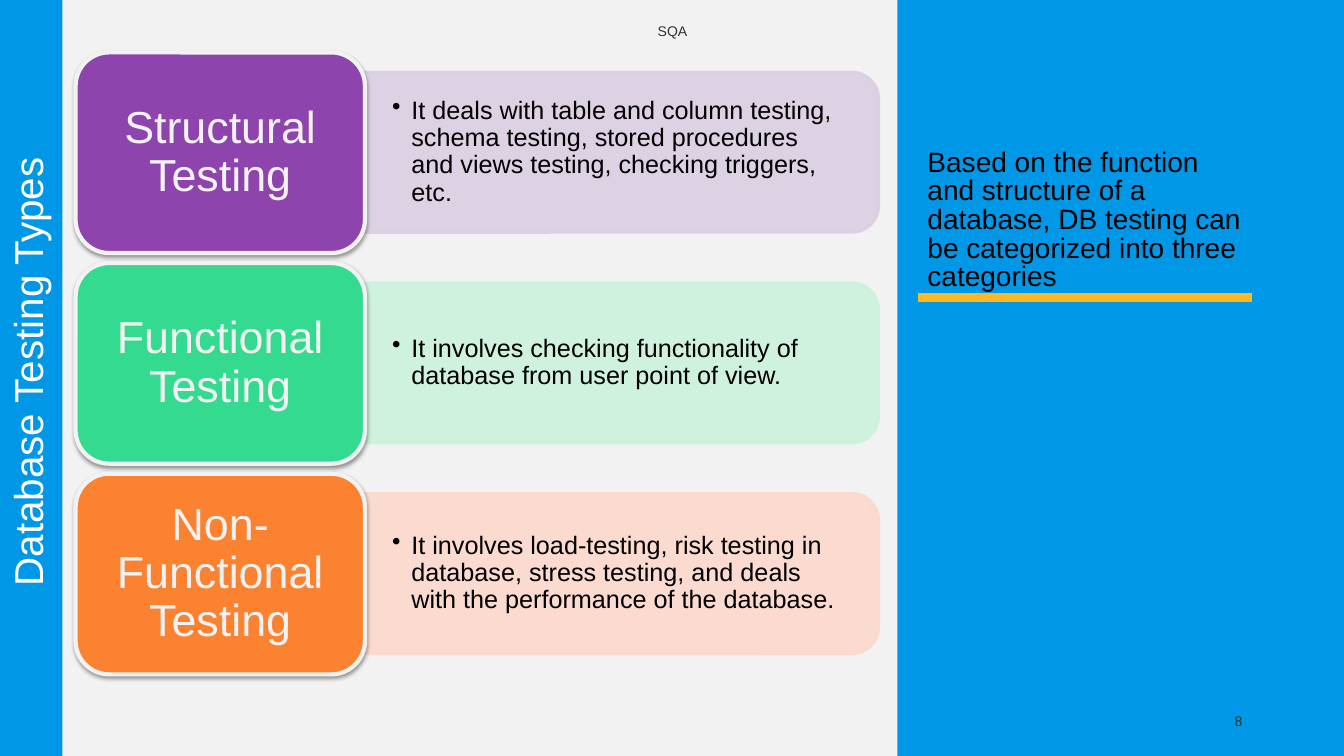
"""Build the slide on database testing types."""
from lxml import etree
from pptx import Presentation
from pptx.dml.color import RGBColor
from pptx.enum.shapes import MSO_CONNECTOR, MSO_SHAPE
from pptx.enum.text import MSO_ANCHOR, MSO_AUTO_SIZE, PP_ALIGN
from pptx.oxml.ns import qn
from pptx.util import Inches, Pt

RECT, ROUNDED = MSO_SHAPE.RECTANGLE, MSO_SHAPE.ROUNDED_RECTANGLE
ROUND_TOP = MSO_SHAPE.ROUND_2_SAME_RECTANGLE
STRAIGHT = MSO_CONNECTOR.STRAIGHT
LEFT, CENTER, RIGHT = PP_ALIGN.LEFT, PP_ALIGN.CENTER, PP_ALIGN.RIGHT
MIDDLE, BOTTOM = MSO_ANCHOR.MIDDLE, MSO_ANCHOR.BOTTOM
NO_FIT = MSO_AUTO_SIZE.NONE

BLUE, PALE, BLACK, GREY = "0097E6", "F2F2F2", "000000", "333333"
PITCH = 2.09
TESTING_TYPES = [
    ("Structural Testing", "8E44AD", "DBCFE3",
     "It deals with table and column testing, schema testing, stored procedures "
     "and views testing, checking triggers, etc."),
    ("Functional Testing", "34DA90", "CCF2DC",
     "It involves checking functionality of database from user point of view."),
    ("Non-Functional Testing", "FA8231", "FDD8CD",
     "It involves load-testing, risk testing in database, stress testing, "
     "and deals with the performance of the database."),
]


def rgb(value):
    return RGBColor.from_string(value)


def write(shape, text, size, color, align, anchor=MIDDLE, spacing=1.0, inset=(0.1, 0.05)):
    frame = shape.text_frame
    frame.text = text
    frame.word_wrap = True
    frame.auto_size = NO_FIT
    frame.vertical_anchor = anchor
    frame.margin_left = frame.margin_right = Inches(inset[0])
    frame.margin_top = frame.margin_bottom = Inches(inset[1])
    paragraph = frame.paragraphs[0]
    paragraph.alignment = align
    paragraph.line_spacing = spacing
    paragraph.font.name = "Arial"
    paragraph.font.size = Pt(size)
    paragraph.font.color.rgb = rgb(color)
    return paragraph


prs = Presentation()
prs.slide_width, prs.slide_height = Inches(13.33), Inches(7.5)
slide = prs.slides.add_slide(prs.slide_layouts[5])
shapes = slide.shapes
slide.background.fill.solid()
slide.background.fill.fore_color.rgb = rgb(PALE)

title = shapes.title
title.left, title.top = Inches(-3.06), Inches(3.44)
title.width, title.height = Inches(6.74), Inches(0.5)
title.rotation = 270
write(title, "Database Testing Types", 28.8, "FFFFFF", CENTER, BOTTOM, 0.85)

for left, width in [(8.9, 4.43), (0, 0.62)]:
    band = shapes.add_shape(RECT, Inches(left), 0, Inches(width), prs.slide_height)
    band.shadow.inherit = False
    band.fill.solid()
    band.fill.fore_color.rgb = rgb(BLUE)
    band.line.fill.background()
    shapes._spTree.remove(band._element)
    shapes._spTree.insert(2, band._element)

rule = shapes.add_connector(STRAIGHT, Inches(9.1), Inches(2.95), Inches(12.42), Inches(2.95))
rule.line.color.rgb = rgb("FDB823")
rule.line.width = Pt(6)
etree.SubElement(rule._element.spPr, qn("a:effectLst"))

header = shapes.add_textbox(Inches(4.42), Inches(0.11), Inches(4.5), Inches(0.4))
write(header, "SQA", 10, GREY, CENTER)
page_number = shapes.add_textbox(Inches(9.42), Inches(6.95), Inches(3), Inches(0.4))
write(page_number, "8", 10, GREY, RIGHT)
summary = shapes.add_textbox(Inches(9.1), Inches(0.45), Inches(3.31), Inches(2.5))
write(summary, "Based on the function and structure of a database, DB testing can be "
      "categorized into three categories", 20, BLACK, LEFT, BOTTOM, 0.85)

for row, (name, strong, tint, detail) in enumerate(TESTING_TYPES):
    offset = row * PITCH

    panel = shapes.add_shape(ROUND_TOP, Inches(5.37), Inches(offset - 1.04),
                             Inches(1.59), Inches(5.1))
    panel.rotation = 90
    panel.shadow.inherit = False
    panel.fill.solid()
    panel.fill.fore_color.rgb = rgb(tint)
    panel.line.color.rgb = rgb(tint)
    panel.line.width = Pt(2)
    for color in panel._element.spPr.iter(qn("a:srgbClr")):
        etree.SubElement(color, qn("a:alpha"), val="90000")

    description = shapes.add_textbox(Inches(3.62), Inches(offset + 0.79),
                                     Inches(5.02), Inches(1.44))
    bullet = write(description, detail, 18, BLACK, LEFT, spacing=0.9, inset=(0.27, 0.14))
    properties = bullet._p.get_or_add_pPr()
    properties.set("marL", str(Inches(0.19)))
    properties.set("indent", str(Inches(-0.19)))
    mark = etree.Element(qn("a:buChar"), char="•")
    properties.find(qn("a:lnSpc")).addnext(mark)

    card = shapes.add_shape(ROUNDED, Inches(0.75), Inches(offset + 0.52),
                            Inches(2.87), Inches(1.99))
    card.fill.solid()
    card.fill.fore_color.rgb = rgb(strong)
    card.line.color.rgb = rgb(PALE)
    card.line.width = Pt(3)
    card.shadow.inherit = False
    effects = card._element.spPr.find(qn("a:effectLst"))
    shadow = etree.SubElement(effects, qn("a:outerShdw"), blurRad=str(Pt(3.1)),
                              dist=str(Pt(1.6)), dir="5400000", rotWithShape="0")
    shade = etree.SubElement(shadow, qn("a:srgbClr"), val=BLACK)
    etree.SubElement(shade, qn("a:alpha"), val="38000")
    write(card, name, 32, PALE, CENTER, spacing=0.9, inset=(0.13, 0.07))

prs.save("out.pptx")
